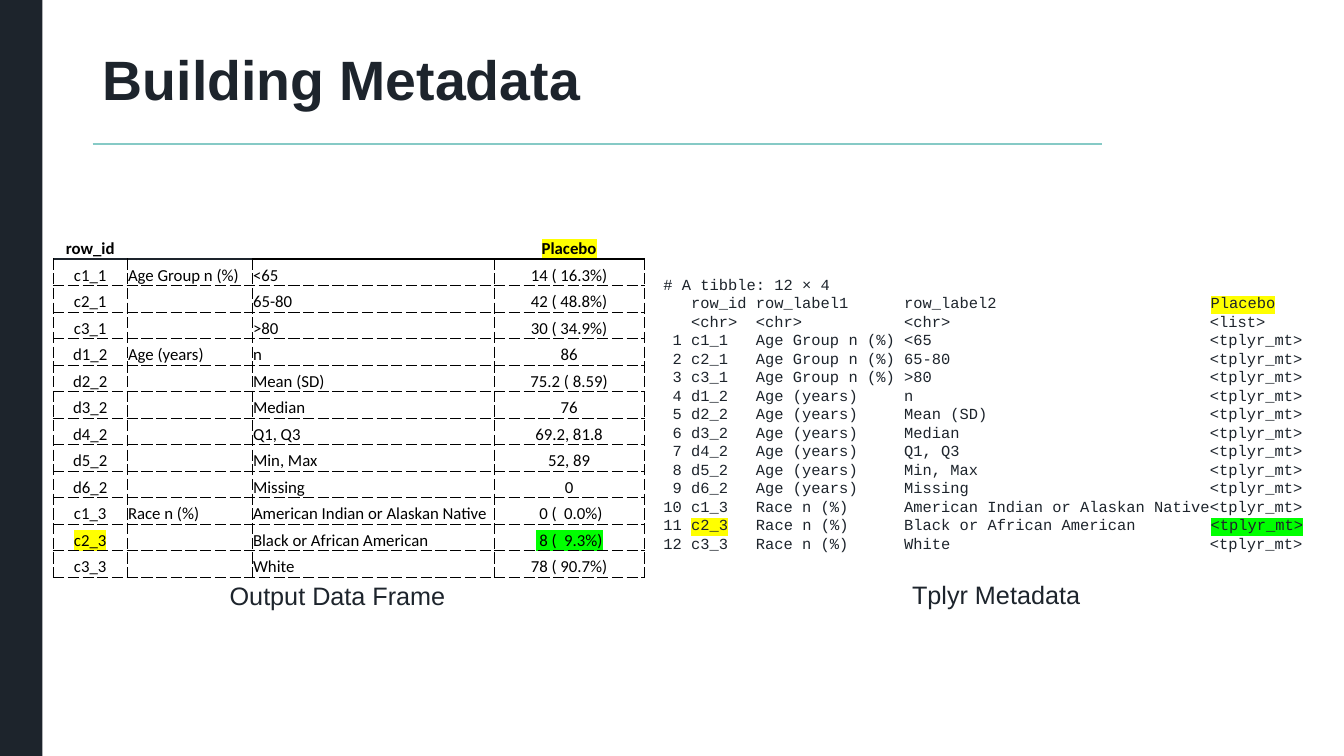
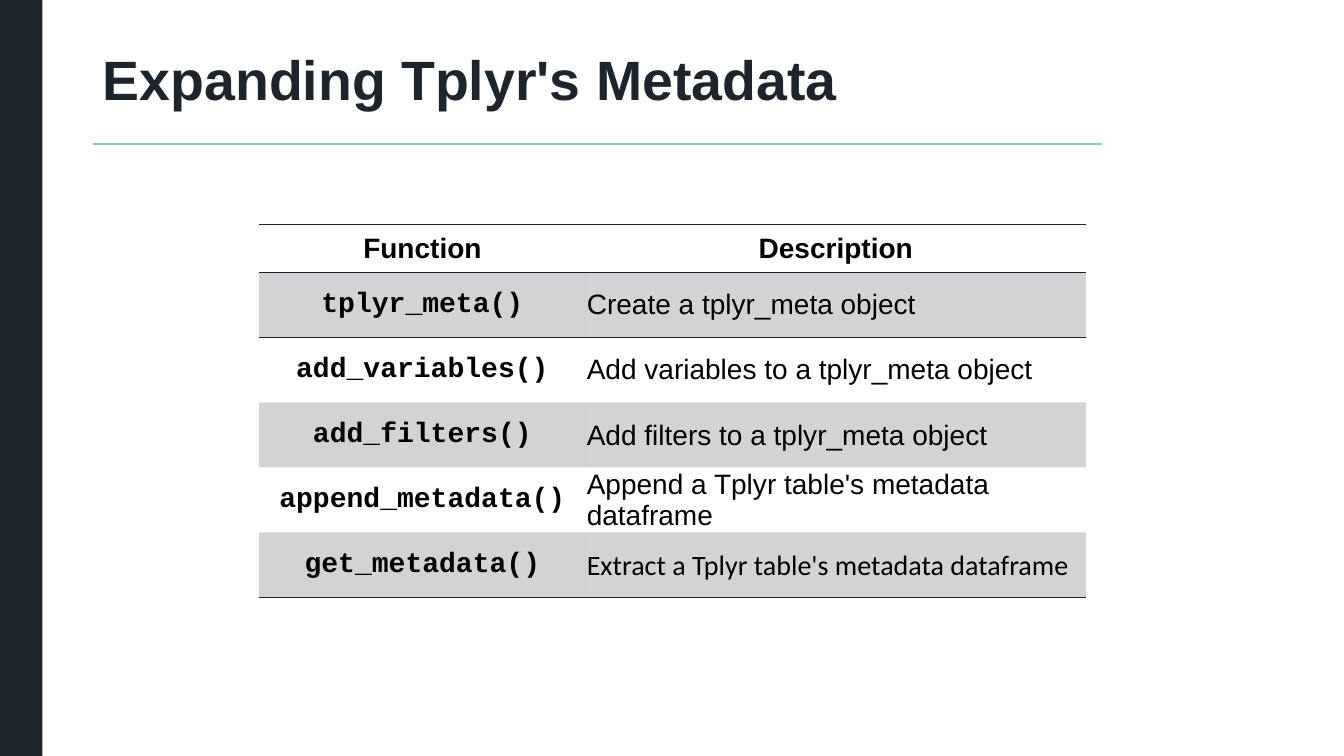
from lxml import etree
from pptx import Presentation
from pptx import util as u
from pptx.dml.color import RGBColor
from pptx.enum import shapes, text
from pptx.oxml.ns import qn

INK = RGBColor(0x1D, 0x24, 0x2C)
TEAL = RGBColor(0x86, 0xCA, 0xC6)
BLACK = RGBColor(0, 0, 0)
YELLOW = RGBColor(0xFF, 0xFF, 0)
GREEN = RGBColor(0, 0xFF, 0)
SANS, TABLE, MONO = "Arial", "Calibri", "Courier New"
LEFT, CENTER = text.PP_ALIGN.LEFT, text.PP_ALIGN.CENTER
TOP, MIDDLE, BOTTOM = text.MSO_ANCHOR.TOP, text.MSO_ANCHOR.MIDDLE, text.MSO_ANCHOR.BOTTOM
NO_GRID_STYLE = "{2D5ABB26-0587-4C30-8999-92F81FD0307C}"
HAIRLINE = (BLACK, 0.5, "dash")
BLACK_RULE = (BLACK, 1, "solid")
INK_RULE = (INK, 1, "solid")

SUMMARY = [
    ("c1_1", "Age Group n (%)", "<65", "14 ( 16.3%)"),
    ("c2_1", "Age Group n (%)", "65-80", "42 ( 48.8%)"),
    ("c3_1", "Age Group n (%)", ">80", "30 ( 34.9%)"),
    ("d1_2", "Age (years)", "n", "86"),
    ("d2_2", "Age (years)", "Mean (SD)", "75.2 ( 8.59)"),
    ("d3_2", "Age (years)", "Median", "76"),
    ("d4_2", "Age (years)", "Q1, Q3", "69.2, 81.8"),
    ("d5_2", "Age (years)", "Min, Max", "52, 89"),
    ("d6_2", "Age (years)", "Missing", "0"),
    ("c1_3", "Race n (%)", "American Indian or Alaskan Native", " 0 (  0.0%)"),
    ("c2_3", "Race n (%)", "Black or African American", " 8 (  9.3%)"),
    ("c3_3", "Race n (%)", "White", "78 ( 90.7%)"),
]
TRACED = "c2_3"

FUNCTIONS = [
    ("tplyr_meta()", "Create a tplyr_meta object", SANS),
    ("add_variables()", "Add variables to a tplyr_meta object", SANS),
    ("add_filters()", "Add filters to a tplyr_meta object", SANS),
    ("append_metadata()", "Append a Tplyr table's metadata dataframe", SANS),
    ("get_metadata()", "Extract a Tplyr table's metadata dataframe", TABLE),
]


class Deck:
    def __init__(self):
        self.prs = Presentation()
        self.prs.slide_width = u.Inches(13.33)
        self.prs.slide_height = u.Inches(7.5)
        self.layout = self.prs.slide_layouts.get_by_name("Title Only")
        self.slide = None

    def add_slide(self, heading):
        self.slide = self.prs.slides.add_slide(self.layout)
        if len(self.prs.slides) == 1:
            self.decorate_layout()
        title = self.slide.shapes.title
        title.left, title.top = u.Inches(0.92), u.Inches(0.53)
        title.width, title.height = u.Inches(10.01), u.Inches(0.58)
        frame = title.text_frame
        frame.auto_size = text.MSO_AUTO_SIZE.NONE
        frame.vertical_anchor = MIDDLE
        line = frame.paragraphs[0]
        line.alignment, line.line_spacing = LEFT, 0.9
        self.run(line, heading, SANS, 39.6, bold=True)

    def decorate_layout(self):
        band = self.slide.shapes.add_shape(
            shapes.MSO_SHAPE.RECTANGLE, 0, 0, u.Inches(0.42), self.prs.slide_height)
        band.shadow.inherit = False
        band.fill.solid()
        band.fill.fore_color.rgb = INK
        band.line.fill.background()
        rule = self.slide.shapes.add_connector(
            shapes.MSO_CONNECTOR.STRAIGHT,
            u.Inches(0.92), u.Inches(1.43), u.Inches(10.93), u.Inches(1.43))
        rule.line.color.rgb = TEAL
        rule.line.width = u.Pt(1)
        etree.SubElement(rule._element.spPr, qn("a:effectLst"))
        for part in (band, rule):
            self.layout.shapes._spTree.append(part._element)

    def run(self, line, words, font, size, color=INK, bold=False, mark=None):
        run = line.add_run()
        run.text = words
        run.font.size, run.font.bold = u.Pt(size), bold
        run.font.color.rgb = color
        if mark is not None:
            highlight = etree.SubElement(run._r.get_or_add_rPr(), qn("a:highlight"))
            etree.SubElement(highlight, qn("a:srgbClr"), val=str(mark))
        run.font.name = font

    def text_box(self, box, lines, font, size, align=LEFT, wrap=True, spacing=None):
        frame = self.slide.shapes.add_textbox(*map(u.Inches, box)).text_frame
        frame.word_wrap = wrap
        for index, pieces in enumerate(lines):
            line = frame.add_paragraph() if index else frame.paragraphs[0]
            line.alignment = align
            if spacing:
                line.line_spacing = u.Pt(spacing)
            for words, mark in pieces:
                self.run(line, words, font, size, mark=mark)

    def table(self, left, top, height, widths, head, body_rows):
        table = self.slide.shapes.add_table(
            body_rows + 1, len(widths), u.Inches(left), u.Inches(top),
            u.Inches(sum(widths)), u.Inches(height)).table
        table.first_row = table.horz_banding = False
        table._tbl.tblPr.find(qn("a:tableStyleId")).text = NO_GRID_STYLE
        for column, width in zip(table.columns, widths):
            column.width = u.Inches(width)
        for index, row in enumerate(table.rows):
            row.height = u.Inches((height - head) / body_rows if index else head)
        return table

    def cell(self, cell, words, font, size, align=CENTER, anchor=MIDDLE,
             bold=False, mark=None, borders=None, shaded=False):
        cell.margin_left = cell.margin_right = cell.margin_top = u.Inches(0.01)
        cell.margin_bottom = 0
        cell.vertical_anchor = anchor
        line = cell.text_frame.paragraphs[0]
        line.alignment = align
        if words:
            self.run(line, words, font, size, BLACK, bold, mark)
        else:
            etree.SubElement(line._p, qn("a:endParaRPr"), sz=str(size * 100))
        properties = cell._tc.get_or_add_tcPr()
        for side in "LRTB":
            if side in (borders or {}):
                color, width, dash = borders[side]
                edge = etree.SubElement(properties, qn(f"a:ln{side}"), w=str(u.Pt(width)))
                fill = etree.SubElement(edge, qn("a:solidFill"))
                etree.SubElement(fill, qn("a:srgbClr"), val=str(color))
                etree.SubElement(edge, qn("a:prstDash"), val=dash)
        if shaded:
            cell.fill.solid()
            cell.fill.fore_color.rgb = INK
            tint = properties.find(f"{qn('a:solidFill')}/{qn('a:srgbClr')}")
            etree.SubElement(tint, qn("a:alpha"), val="20000")
        else:
            cell.fill.background()


def tibble_lines():
    def columns(row_id, label, level):
        return f"{row_id:<7}{label:<16}{level:<33}"

    lines = [
        [("# A tibble: 12 × 4", None)],
        [("   " + columns("row_id", "row_label1", "row_label2"), None), ("Placebo", YELLOW)],
        [("   " + columns("<chr>", "<chr>", "<chr>") + "<list>", None)],
    ]
    for number, (row_id, label, level, _) in enumerate(SUMMARY, 1):
        start, rest = f"{number:>2} ", columns(row_id, label, level)
        if row_id == TRACED:
            lines.append([(start, None), (row_id, YELLOW),
                          (rest[len(row_id):], None), ("<tplyr_mt>", GREEN)])
        else:
            lines.append([(start + rest + "<tplyr_mt>", None)])
    return lines


def building_metadata(deck):
    deck.add_slide("Building Metadata")
    output = deck.table(0.53, 2.29, 3.44, (0.73, 1.24, 2.4, 1.49), 0.28, len(SUMMARY))
    head_rules = (INK_RULE, INK_RULE, BLACK_RULE, BLACK_RULE)
    aligns = (CENTER, LEFT, LEFT, CENTER)
    for col, words in enumerate(("row_id", "", "", "Placebo")):
        deck.cell(output.cell(0, col), words, TABLE, 12, anchor=BOTTOM, bold=True,
                  mark=YELLOW if words == "Placebo" else None,
                  borders={"B": head_rules[col]})
    previous = None
    for row, (row_id, label, level, value) in enumerate(SUMMARY, 1):
        shown = (row_id, "" if label == previous else label, level, value)
        previous = label
        marks = (YELLOW, None, None, GREEN) if row_id == TRACED else (None,) * 4
        for col, words in enumerate(shown):
            borders = dict.fromkeys("LRTB", HAIRLINE)
            if row == 1:
                borders["T"] = head_rules[col]
            deck.cell(output.cell(row, col), words, TABLE, 12, aligns[col], BOTTOM,
                      mark=marks[col], borders=borders)
    deck.text_box((2.18, 5.71, 2.56, 0.4), [[("Output Data Frame", None)]], SANS, 18)
    deck.text_box((6.48, 2.68, 6.82, 2.88), tibble_lines(), MONO, 11,
                  wrap=False, spacing=13.2)
    deck.text_box((8.6, 5.7, 2.56, 0.4), [[("Tplyr Metadata", None)]], SANS, 18, CENTER)


def expanding_metadata(deck):
    deck.add_slide("Expanding Tplyr's Metadata")
    reference = deck.table(2.57, 2.23, 3.7, (3.24, 4.96), 0.47, len(FUNCTIONS))
    for col, words in enumerate(("Function", "Description")):
        deck.cell(reference.cell(0, col), words, SANS, 20, bold=True,
                  borders={"T": INK_RULE, "B": INK_RULE})
    for row, (function, description, font) in enumerate(FUNCTIONS, 1):
        borders = {"T": INK_RULE} if row == 1 else {}
        if row == len(FUNCTIONS):
            borders["B"] = INK_RULE
        shaded = row % 2 == 1
        deck.cell(reference.cell(row, 0), function, MONO, 20, bold=True,
                  borders=borders, shaded=shaded)
        deck.cell(reference.cell(row, 1), description, font, 20, LEFT,
                  borders=borders, shaded=shaded)


def main():
    deck = Deck()
    building_metadata(deck)
    expanding_metadata(deck)
    deck.prs.save("out.pptx")


if __name__ == "__main__":
    main()
